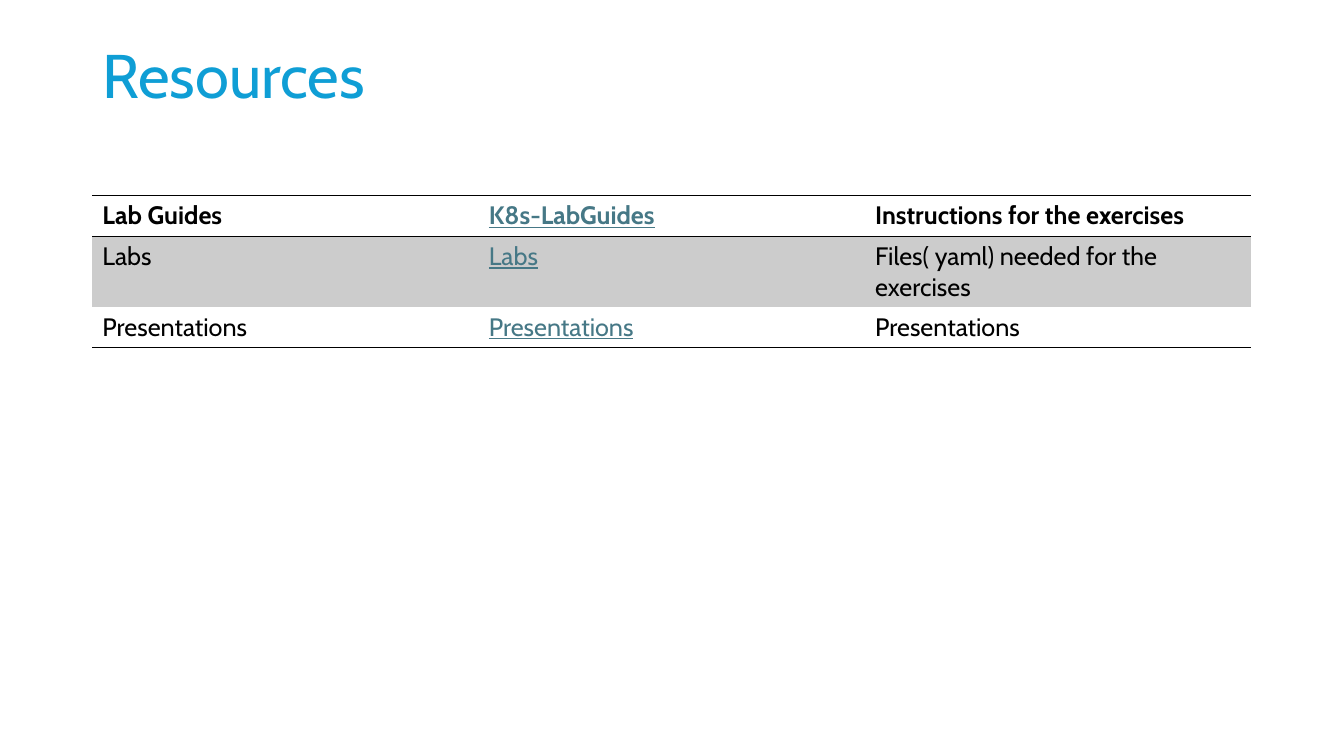
"""Build the Resources slide: a title above a ruled table of course material."""
from dataclasses import dataclass

from lxml import etree
from pptx import Presentation
from pptx.dml.color import RGBColor
from pptx.enum.text import MSO_ANCHOR
from pptx.oxml.ns import qn
from pptx.util import Pt

TOP = MSO_ANCHOR.TOP

TITLE = "Resources"
ROWS = [
    ("Lab Guides", "K8s-LabGuides", "Instructions for the exercises"),
    ("Labs", "Labs", "Files( yaml) needed for the exercises"),
    ("Presentations", "Presentations", "Presentations"),
]
LINK_COLUMN = 1
BANDED_ROW = 1
RULES = {0: ("T", "B"), 1: ("T",), 2: ("B",)}
ROW_HEIGHTS = (29.2, 50.4, 29.2)

LEFT, WIDTH = 66, 828
TITLE_TOP, TITLE_HEIGHT = 28.8, 84
TABLE_TOP = 139.5


@dataclass(frozen=True)
class Theme:
    font: str = "Cabin"
    title_size: int = 44
    body_size: int = 18
    title: str = "0F9ED5"
    text: str = "000000"
    link: str = "467886"
    band: str = "CCCCCC"
    rule: str = "000000"
    rule_width: int = 1


THEME = Theme()


def add_run(p, text, size, color, bold=False, underline=False):
    r = p.add_run()
    r.text = text
    r.font.name = THEME.font
    r.font.size = Pt(size)
    r.font.color.rgb = RGBColor.from_string(color)
    r.font.bold = bold
    r.font.underline = underline


def set_borders(cell, ruled):
    props = cell._tc.get_or_add_tcPr()
    for side in "LRTB":
        ln = etree.SubElement(props, qn(f"a:ln{side}"))
        if side in ruled:
            ln.set("w", str(Pt(THEME.rule_width)))
            fill = etree.SubElement(ln, qn("a:solidFill"))
            etree.SubElement(fill, qn("a:srgbClr"), val=THEME.rule)
        else:
            ln.set("w", "0")
            etree.SubElement(ln, qn("a:noFill"))


def add_title(s):
    box = s.shapes.add_textbox(Pt(LEFT), Pt(TITLE_TOP), Pt(WIDTH), Pt(TITLE_HEIGHT))
    tf = box.text_frame
    tf.word_wrap = True
    tf.vertical_anchor = TOP
    p = tf.paragraphs[0]
    p.line_spacing = 0.9
    add_run(p, TITLE, THEME.title_size, THEME.title)


def add_resources(s):
    frame = s.shapes.add_table(len(ROWS), len(ROWS[0]), Pt(LEFT), Pt(TABLE_TOP),
                               Pt(WIDTH), Pt(sum(ROW_HEIGHTS)))
    table = frame.table
    table.horz_banding = False
    for i, texts in enumerate(ROWS):
        table.rows[i].height = Pt(ROW_HEIGHTS[i])
        for j, text in enumerate(texts):
            cell = table.cell(i, j)
            set_borders(cell, RULES[i])
            if i == BANDED_ROW:
                cell.fill.solid()
                cell.fill.fore_color.rgb = RGBColor.from_string(THEME.band)
            else:
                cell.fill.background()
            is_link = j == LINK_COLUMN
            add_run(cell.text_frame.paragraphs[0], text, THEME.body_size,
                    THEME.link if is_link else THEME.text,
                    bold=i == 0, underline=is_link)


def main():
    prs = Presentation()
    prs.slide_width, prs.slide_height = Pt(960), Pt(540)
    s = prs.slides.add_slide(prs.slide_layouts[6])
    add_title(s)
    add_resources(s)
    prs.save("out.pptx")


if __name__ == "__main__":
    main()
